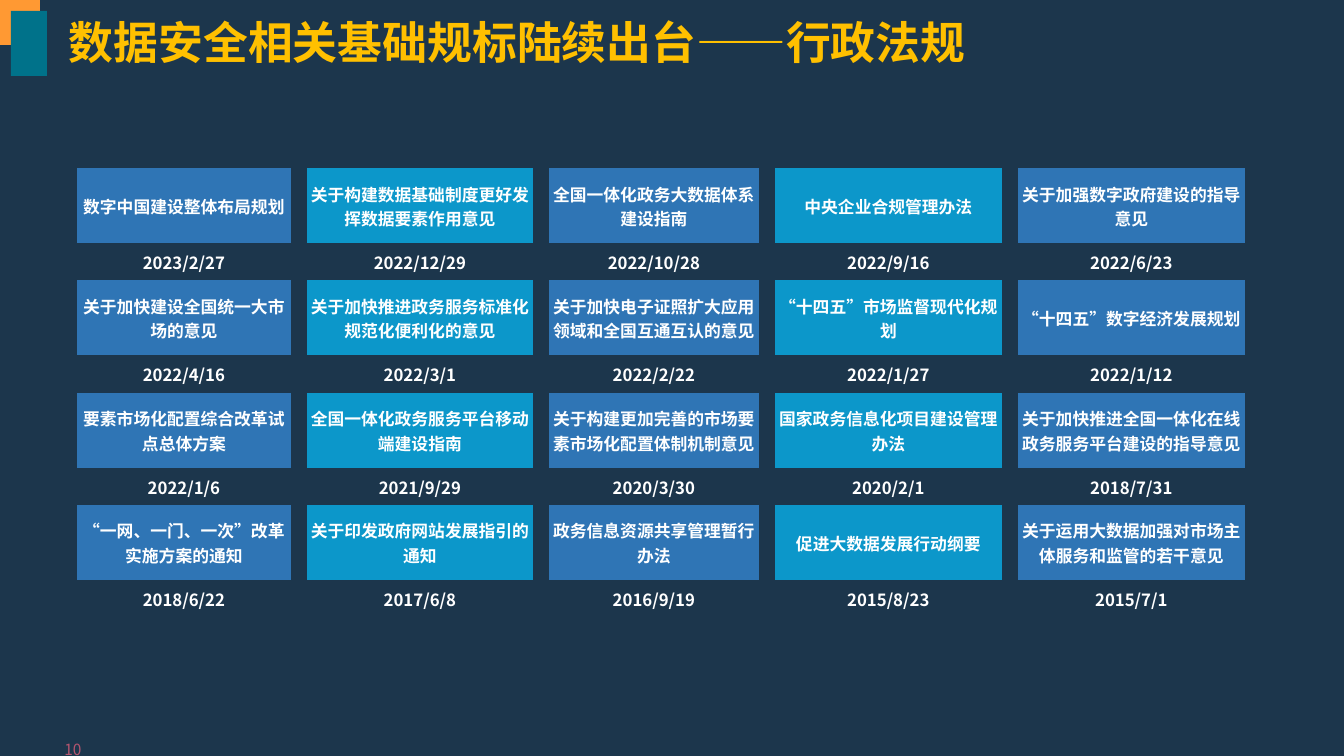
"""Builds the slide listing administrative regulations on data security."""
from lxml.etree import SubElement
from pptx import Presentation
from pptx.dml.color import RGBColor
from pptx.enum.shapes import MSO_SHAPE
from pptx.enum.text import MSO_ANCHOR, PP_ALIGN
from pptx.oxml.ns import qn
from pptx.util import Pt

PX = 914400 / 100.8
FONT = "Noto Sans CJK SC"
NO_GRID_STYLE = "{2D5ABB26-0587-4C30-8999-92F81FD0307C}"
COLORS = {
    "navy": "1C364C", "orange": "FF9933", "teal": "00728A", "gold": "FFC000",
    "rose": "B5556F", "white": "FFFFFF", "blue": "2F75B5", "cyan": "0C97CA",
}
REGULATIONS = [
    [("数字中国建设整体布局规划", "2023/2/27"),
     ("关于构建数据基础制度更好发挥数据要素作用意见", "2022/12/29"),
     ("全国一体化政务大数据体系建设指南", "2022/10/28"),
     ("中央企业合规管理办法", "2022/9/16"),
     ("关于加强数字政府建设的指导意见", "2022/6/23")],
    [("关于加快建设全国统一大市场的意见", "2022/4/16"),
     ("关于加快推进政务服务标准化规范化便利化的意见", "2022/3/1"),
     ("关于加快电子证照扩大应用领域和全国互通互认的意见", "2022/2/22"),
     ("“十四五”市场监督现代化规划", "2022/1/27"),
     ("“十四五”数字经济发展规划", "2022/1/12")],
    [("要素市场化配置综合改革试点总体方案", "2022/1/6"),
     ("全国一体化政务服务平台移动端建设指南", "2021/9/29"),
     ("关于构建更加完善的市场要素市场化配置体制机制意见", "2020/3/30"),
     ("国家政务信息化项目建设管理办法", "2020/2/1"),
     ("关于加快推进全国一体化在线政务服务平台建设的指导意见", "2018/7/31")],
    [("“一网、一门、一次”改革实施方案的通知", "2018/6/22"),
     ("关于印发政府网站发展指引的通知", "2017/6/8"),
     ("政务信息资源共享管理暂行办法", "2016/9/19"),
     ("促进大数据发展行动纲要", "2015/8/23"),
     ("关于运用大数据加强对市场主体服务和监管的若干意见", "2015/7/1")],
]
COLUMN_WIDTHS = [214, 16, 226, 16, 210, 16, 227, 16, 227]
ROW_HEIGHTS = [75, 37, 75, 38] * 2


def px(*lengths):
    return [round(length * PX) for length in lengths]


def write(frame, text, size, color, bold=False, align=PP_ALIGN.CENTER):
    para = frame.paragraphs[0]
    para.text = text
    para.alignment = align
    para.font.size = Pt(size)
    para.font.bold = bold
    para.font.color.rgb = RGBColor.from_string(COLORS[color])
    para.font.name = FONT
    SubElement(para.font._element, qn("a:ea"), typeface=FONT)
    return para


deck = Presentation()
deck.slide_width, deck.slide_height = px(1344, 756)
page = deck.slides.add_slide(deck.slide_layouts[6])

for color, area in [("navy", (0, 0, 1344, 756)),
                    ("orange", (0, 0, 40, 45)),
                    ("teal", (11, 11, 36, 65))]:
    block = page.shapes.add_shape(MSO_SHAPE.RECTANGLE, *px(*area))
    block.shadow.inherit = False
    block.fill.solid()
    block.fill.fore_color.rgb = RGBColor.from_string(COLORS[color])
    block.line.fill.background()

number = page.shapes.add_shape(MSO_SHAPE.ROUNDED_RECTANGLE, *px(29, 728, 88, 43))
number.adjustments[0] = 0.5
number.shadow.inherit = False
number.fill.background()
number.line.fill.background()
number.text_frame.vertical_anchor = MSO_ANCHOR.MIDDLE
write(number.text_frame, "10", 11, "rose")

title = page.shapes.add_textbox(*px(59, 18, 1082, 53)).text_frame
title.word_wrap = True
title.vertical_anchor = MSO_ANCHOR.MIDDLE
heading = write(title, "数据安全相关基础规标陆续出台——行政法规", 32, "gold", True, PP_ALIGN.LEFT)
heading.line_spacing = 0.9

table = page.shapes.add_table(
    len(ROW_HEIGHTS), len(COLUMN_WIDTHS),
    *px(77, 168, sum(COLUMN_WIDTHS), sum(ROW_HEIGHTS))).table
table.first_row = table.horz_banding = False
table._tbl.tblPr.find(qn("a:tableStyleId")).text = NO_GRID_STYLE
for column, width in zip(table.columns, px(*COLUMN_WIDTHS)):
    column.width = width
for row, height in zip(table.rows, px(*ROW_HEIGHTS)):
    row.height = height

for row_index in range(len(ROW_HEIGHTS)):
    for column_index in range(len(COLUMN_WIDTHS)):
        cell = table.cell(row_index, column_index)
        cell.margin_left = cell.margin_right = cell.margin_top = px(1)[0]
        cell.margin_bottom = 0
        cell.vertical_anchor = MSO_ANCHOR.MIDDLE
        cell.fill.background()
        group, part = divmod(row_index, 2)
        position, is_gap = divmod(column_index, 2)
        text = "" if is_gap else REGULATIONS[group][position][part]
        write(cell.text_frame, text, 12, "white", True)
        if part == 0 and not is_gap:
            cell.fill.solid()
            cell.fill.fore_color.rgb = RGBColor.from_string(
                COLORS["cyan" if position % 2 else "blue"])

deck.save("out.pptx")
